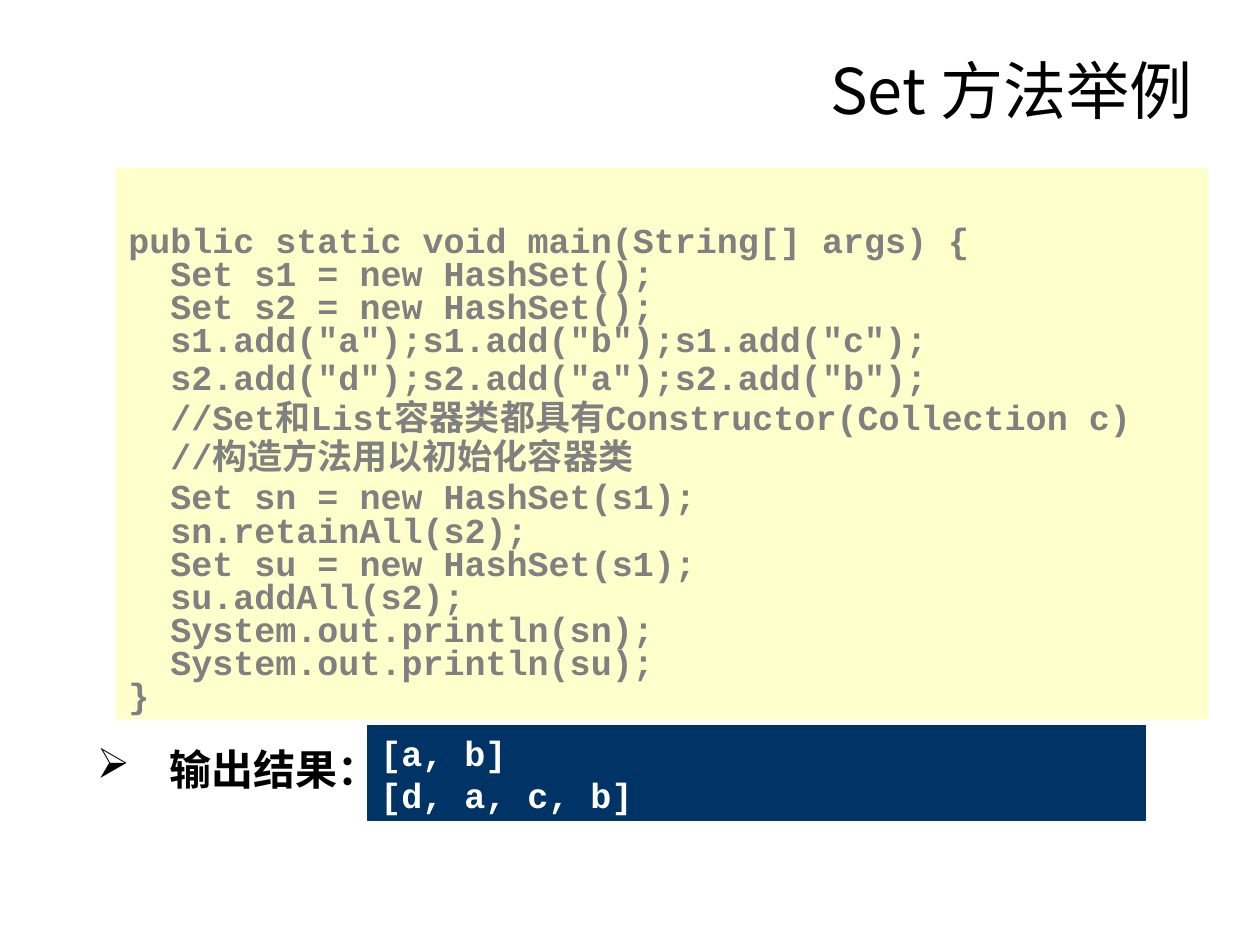
from pptx import Presentation
from pptx.dml.color import RGBColor
from pptx.enum.shapes import MSO_SHAPE
from pptx.enum.text import MSO_ANCHOR, PP_ALIGN
from pptx.oxml.ns import qn
from pptx.util import Inches, Pt

TITLE = "Set 方法举例"
TIGHT, LOOSE = 0.35, 0.5
CODE_BLOCKS = [
    (TIGHT, """public static void main(String[] args) {
  Set s1 = new HashSet();
  Set s2 = new HashSet();
  s1.add("a");s1.add("b");s1.add("c");"""),
    (LOOSE, """  s2.add("d");s2.add("a");s2.add("b");
  //Set和List容器类都具有Constructor(Collection c)
  //构造方法用以初始化容器类
  Set sn = new HashSet(s1);"""),
    (TIGHT, """  sn.retainAll(s2);
  Set su = new HashSet(s1);
  su.addAll(s2);
  System.out.println(sn);
  System.out.println(su);
}"""),
]
CODE = [(line, spacing) for spacing, block in CODE_BLOCKS
        for line in block.splitlines()]
RESULT_LABEL = "输出结果："
RESULT = [("[a, b]", None), ("[d, a, c, b]", None)]

# left, top, width, height in inches
TITLE_AREA = (1.06, 0.08, 8.5, 1.25)
CODE_AREA = (0.92, 1.33, 8.67, 4.38)
LABEL_AREA = (0.67, 5.85, 2.33, 0.5)
RESULT_AREA = (2.92, 5.76, 6.17, 0.75)


def rgb(color):
    return RGBColor.from_string(color)


def style(paragraph, font_name, size, color, bold=False):
    font = paragraph.font
    font.name, font.size, font.bold = font_name, Pt(size), bold
    font.color.rgb = rgb(color)


def add_text(slide, area, text):
    frame = slide.shapes.add_textbox(*map(Inches, area)).text_frame
    frame.word_wrap = True
    frame.text = text
    return frame, frame.paragraphs[0]


def add_panel(slide, area, fill, lines, color, gap=0):
    """Add a filled rectangle of monospaced (text, line spacing) lines."""
    panel = slide.shapes.add_shape(MSO_SHAPE.RECTANGLE, *map(Inches, area))
    panel.shadow.inherit = False
    panel.fill.solid()
    panel.fill.fore_color.rgb = rgb(fill)
    panel.line.fill.background()
    frame = panel.text_frame
    frame.text = "\n".join(text for text, _ in lines)
    for index, (paragraph, (_, spacing)) in enumerate(zip(frame.paragraphs, lines)):
        paragraph.alignment = PP_ALIGN.LEFT
        paragraph.line_spacing = spacing
        paragraph.space_before = Pt(gap if index else 0)
        style(paragraph, "Courier New", 20, color, bold=True)
    return panel


def add_bullet(paragraph, mark, indent):
    properties = paragraph._p.get_or_add_pPr()
    properties.set("marL", str(Inches(indent)))
    properties.set("indent", str(-Inches(indent)))
    bullet = properties.makeelement(qn("a:buChar"), {"char": mark})
    properties.append(bullet)


def main():
    deck = Presentation()
    deck.slide_width, deck.slide_height = Inches(10), Inches(7.5)
    slide = deck.slides.add_slide(deck.slide_layouts[6])

    frame, title = add_text(slide, TITLE_AREA, TITLE)
    frame.vertical_anchor = MSO_ANCHOR.MIDDLE
    title.alignment = PP_ALIGN.RIGHT
    style(title, "Noto Sans CJK SC", 36, "000000")

    code = add_panel(slide, CODE_AREA, "FFFFCC", CODE, "808080", gap=10.5)
    code.text_frame.vertical_anchor = MSO_ANCHOR.TOP
    code.text_frame.margin_top = Pt(42.5)

    _, label = add_text(slide, LABEL_AREA, RESULT_LABEL)
    add_bullet(label, "➢", 0.58)
    style(label, "Times New Roman", 24, "000000", bold=True)

    result = add_panel(slide, RESULT_AREA, "003366", RESULT, "FFFFFF")
    result.line.color.rgb = rgb("003366")
    result.line.width = Pt(0.75)
    result.text_frame.vertical_anchor = MSO_ANCHOR.MIDDLE
    result.text_frame.word_wrap = False

    deck.save("out.pptx")


if __name__ == "__main__":
    main()
